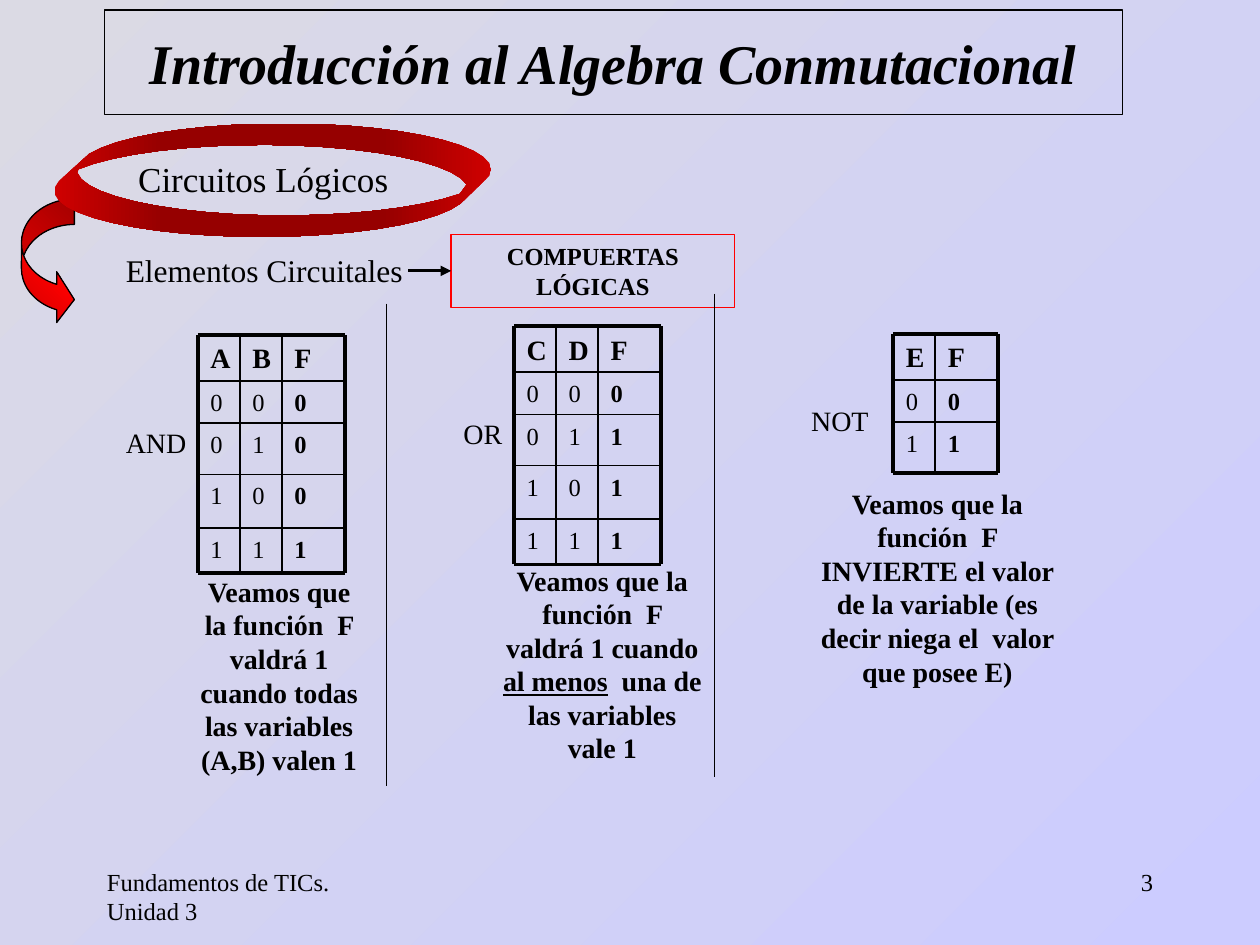
from itertools import accumulate
from math import atan2, cos, hypot, radians, sin

from lxml.etree import SubElement
from pptx import Presentation
from pptx.dml.color import RGBColor
from pptx.enum.shapes import MSO_CONNECTOR, MSO_SHAPE
from pptx.enum.text import MSO_ANCHOR, PP_ALIGN
from pptx.oxml.ns import qn
from pptx.util import Inches, Pt

BLACK = RGBColor(0x00, 0x00, 0x00)
RED = RGBColor(0xFF, 0x00, 0x00)
DARK_RED = RGBColor(0xCF, 0x00, 0x00)
DEEP_RED = RGBColor(0x96, 0x00, 0x00)
GREY_LILAC = RGBColor(0xDB, 0xDA, 0xE4)
LILAC = RGBColor(0xCC, 0xCC, 0xFF)
FONT = "Times New Roman"
PLAIN_TABLE_STYLE = "{2D5ABB26-0587-4C30-8999-92F81FD0307C}"


def format_paragraph(paragraph, size, bold=False, align=PP_ALIGN.LEFT, italic=False):
    paragraph.alignment = align
    font = paragraph.font
    font.name, font.size, font.bold, font.italic = FONT, Pt(size), bold, italic
    font.color.rgb = BLACK


def add_text(slide, box, pieces, size, bold=False, align=PP_ALIGN.LEFT):
    """Add a wrapped text box; every second piece of text is underlined."""
    frame = slide.shapes.add_textbox(*map(Inches, box)).text_frame
    frame.word_wrap = True
    paragraph = frame.paragraphs[0]
    for index, piece in enumerate(pieces):
        run = paragraph.add_run()
        run.text = piece
        if index % 2:
            run.font.underline = True
    format_paragraph(paragraph, size, bold, align)


def set_gradient(fill, element, colors, angle):
    """Fill with evenly spaced colours; the angle runs counter-clockwise."""
    fill.gradient()
    fill.gradient_angle = angle
    stops = next(element.iter(qn("a:gsLst")))
    for stop in list(stops):
        stops.remove(stop)
    for index, color in enumerate(colors):
        position = str(100000 * index // (len(colors) - 1))
        stop = SubElement(stops, qn("a:gs"), pos=position)
        SubElement(stop, qn("a:srgbClr"), val=str(color))


def add_line(slide, start, end, width):
    points = map(Inches, (*start, *end))
    line = slide.shapes.add_connector(MSO_CONNECTOR.STRAIGHT, *points)
    line.line.color.rgb = BLACK
    line.line.width = Pt(width)
    SubElement(line._element.spPr, qn("a:effectLst"))
    return line


def add_ring(slide):
    """Outline an ellipse extruded up and right, with its see-through hole."""
    left, top, radius_x, radius_y = 0.43, 1.15, 1.645, 0.365
    shift_x, shift_y = 0.18 / radius_x, -0.17 / radius_y
    circle = [(cos(radians(a)), sin(radians(a))) for a in range(0, 360, 8)]
    shifted = [(x + shift_x, y + shift_y) for x, y in circle]
    outer = [far if x * shift_x + y * shift_y > 0 else (x, y)
             for (x, y), far in zip(circle, shifted)]
    hole = [p for p in circle if hypot(p[0] - shift_x, p[1] - shift_y) <= 1]
    hole += [p for p in shifted if hypot(*p) <= 1]
    hole.sort(key=lambda p: -atan2(p[1] - shift_y / 2, p[0] - shift_x / 2))

    contours = [[(Inches(left + radius_x * (1 + x)), Inches(top + radius_y * (1 + y)))
                 for x, y in contour] for contour in (outer, hole)]
    builder = slide.shapes.build_freeform(*contours[0][0])
    builder.add_line_segments(contours[0][1:])
    builder.move_to(*contours[1][0])
    builder.add_line_segments(contours[1][1:])
    ring = builder.convert_to_shape()
    ring.shadow.inherit = False
    ring.line.fill.background()
    colors = [DARK_RED, *[DEEP_RED] * 3, DARK_RED]
    set_gradient(ring.fill, ring._element, colors, 0)


def add_curved_arrow(slide):
    arrow = slide.shapes.add_shape(
        MSO_SHAPE.CURVED_RIGHT_ARROW, *map(Inches, (0.17, 1.58, 0.42, 1)))
    for index, value in enumerate((0.48, 0.96, 0.333)):
        arrow.adjustments[index] = value
    arrow.shadow.inherit = False
    arrow.line.color.rgb = BLACK
    arrow.line.width = Pt(0.75)
    set_gradient(arrow.fill, arrow._element, [DARK_RED, RED, DARK_RED], 45)


def add_gates_box(slide):
    box = slide.shapes.add_shape(
        MSO_SHAPE.RECTANGLE, *map(Inches, (3.58, 1.86, 2.25, 0.58)))
    box.shadow.inherit = False
    box.fill.background()
    box.line.color.rgb = RED
    box.line.width = Pt(0.75)
    box.text_frame.word_wrap = True
    box.text_frame.text = "COMPUERTAS LÓGICAS"
    format_paragraph(box.text_frame.paragraphs[0], 14, True, PP_ALIGN.CENTER)
    return box


def add_truth_table(slide, left, top, rows):
    """Add a truth table whose last column is the function value, and its rules."""
    widths = [0.333] * (len(rows[0]) - 1) + [0.5]
    heights = [0.365, 0.335, 0.405, 0.425, 0.36][:len(rows)]
    frame = slide.shapes.add_table(
        len(rows), len(widths), *map(Inches, (left, top, sum(widths), sum(heights))))
    table = frame.table
    next(frame._element.iter(qn("a:tableStyleId"))).text = PLAIN_TABLE_STYLE
    table.first_row = table.horz_banding = False
    for column, width in zip(table.columns, widths):
        column.width = Inches(width)
    for r, values in enumerate(rows):
        table.rows[r].height = Inches(heights[r])
        for c, value in enumerate(values):
            cell = table.cell(r, c)
            cell.text = value
            cell.margin_top = Inches(0.07)
            cell.margin_right = cell.margin_bottom = 0
            cell.fill.background()
            format_paragraph(cell.text_frame.paragraphs[0], 14 if r else 16,
                             r == 0 or c == len(widths) - 1)

    # Full-length rules, heavier around the outside
    xs = list(accumulate(widths, initial=left))
    ys = list(accumulate(heights, initial=top))
    for y in ys:
        add_line(slide, (xs[0], y), (xs[-1], y), 2.25 if y in (ys[0], ys[-1]) else 1)
    for x in xs:
        add_line(slide, (x, ys[0]), (x, ys[-1]), 2.25 if x in (xs[0], xs[-1]) else 1)


def add_title(slide):
    title = slide.shapes.title
    title.left, title.top, title.width, title.height = map(Inches, (0.83, 0.08, 8.08, 0.83))
    title.line.color.rgb = BLACK
    title.line.width = Pt(0.75)
    title.text_frame.text = "Introducción al Algebra Conmutacional"
    title.text_frame.vertical_anchor = MSO_ANCHOR.MIDDLE
    format_paragraph(title.text_frame.paragraphs[0], 32, True, PP_ALIGN.CENTER, True)


def main():
    presentation = Presentation()
    presentation.slide_width, presentation.slide_height = Inches(10), Inches(7.5)
    slide = presentation.slides.add_slide(presentation.slide_layouts[5])
    set_gradient(slide.background.fill, slide._element, [GREY_LILAC, LILAC], 315)
    add_title(slide)

    # Topic and its circuit elements
    add_curved_arrow(slide)
    add_ring(slide)
    add_text(slide, (0.64, 1.2, 2.9, 0.43), ["Circuitos Lógicos"], 20, align=PP_ALIGN.CENTER)
    add_text(slide, (0.9, 1.94, 3, 0.4), ["Elementos Circuitales"], 18)
    gates_box = add_gates_box(slide)
    arrow = add_line(slide, (3.24, 2.15), (3.58, 2.15), 1.75)
    arrow.end_connect(gates_box, 1)
    SubElement(arrow.line._get_or_add_ln(), qn("a:tailEnd"), type="triangle")

    # Gates: name and its box, table place and rows, remark box and text
    gates = [
        ("AND", (0.9, 3.33, 0.75, 0.37), (1.57, 2.66),
         ["ABF", "000", "010", "100", "111"], (1.44, 4.51, 1.55, 1.7),
         ["Veamos que la función  F valdrá 1 cuando todas las variables (A,B) valen 1"]),
        ("OR", (3.58, 3.26, 0.58, 0.37), (4.08, 2.59),
         ["CDF", "000", "011", "101", "111"], (3.89, 4.42, 1.78, 1.7),
         ["Veamos que la función  F valdrá 1 cuando ", "al menos",
          "  una de las variables vale 1"]),
        ("NOT", (6.34, 3.15, 1.17, 0.37), (7.09, 2.65),
         ["EF", "00", "11"], (6.34, 3.81, 2.2, 1.7),
         ["Veamos que la función  F INVIERTE el valor de la variable "
          "(es decir niega el  valor que posee E)"]),
    ]
    for name, name_box, place, rows, remark_box, remark in gates:
        add_text(slide, name_box, [name], 16)
        add_truth_table(slide, *place, rows)
        add_text(slide, remark_box, remark, 16, True, PP_ALIGN.CENTER)

    # Dividers between the gates
    for x, top, bottom in ((3.07, 2.41, 6.24), (5.67, 2.33, 6.17)):
        add_line(slide, (x, top), (x, bottom), 0.75)

    # Footer
    add_text(slide, (0.75, 6.83, 2.08, 0.5), ["Fundamentos de TICs. Unidad 3"], 14)
    add_text(slide, (7.17, 6.83, 2.08, 0.5), ["3"], 14, align=PP_ALIGN.RIGHT)
    presentation.save("out.pptx")


if __name__ == "__main__":
    main()
